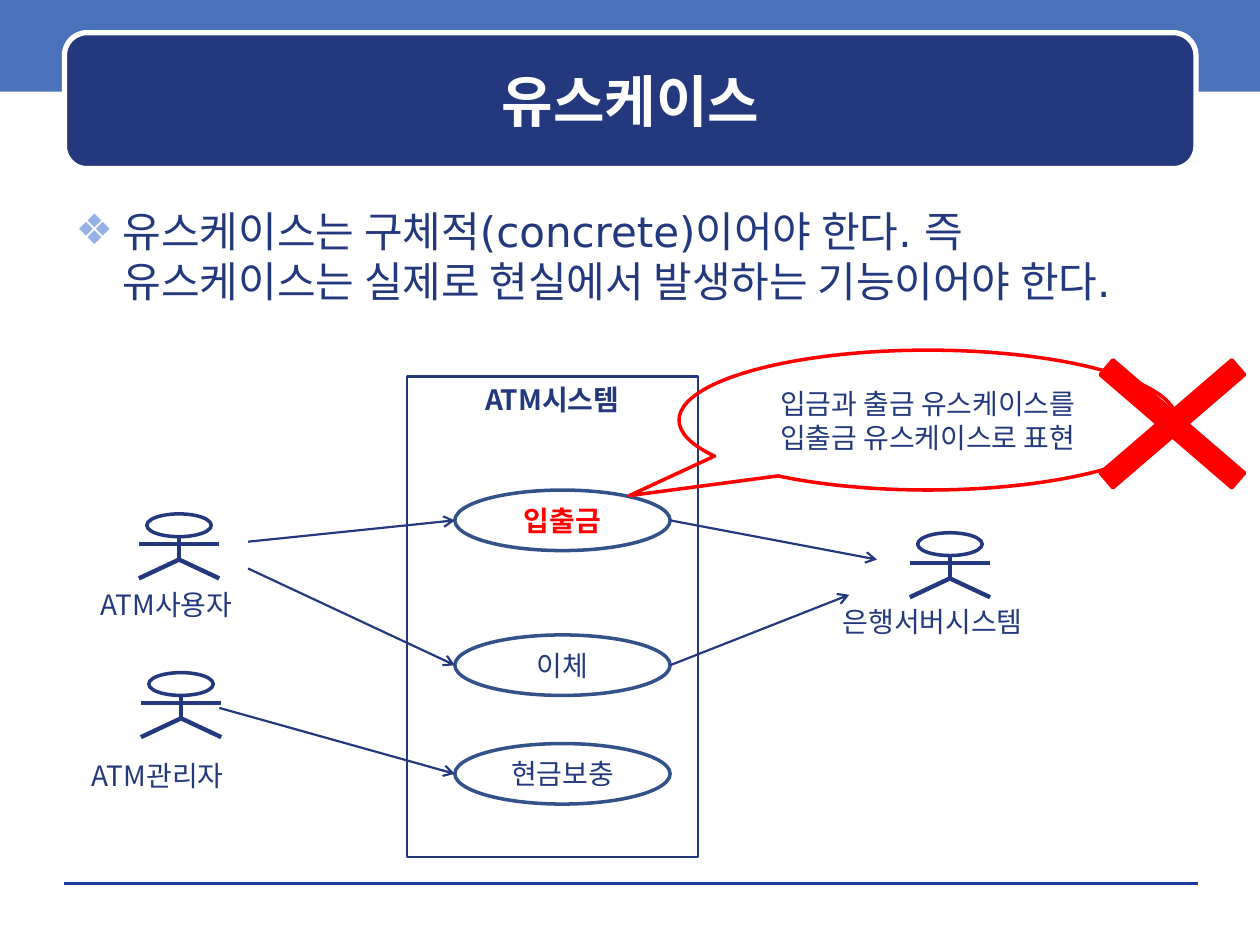
"""Builds the slide on concrete use cases with an ATM use case diagram."""
from dataclasses import dataclass

from lxml import etree
from pptx import Presentation
from pptx.dml.color import RGBColor
from pptx.enum.shapes import MSO_CONNECTOR, MSO_SHAPE
from pptx.enum.text import MSO_ANCHOR, PP_ALIGN
from pptx.oxml.ns import qn
from pptx.util import Cm, Pt

STRAIGHT = MSO_CONNECTOR.STRAIGHT
RECTANGLE, ROUNDED = MSO_SHAPE.RECTANGLE, MSO_SHAPE.ROUNDED_RECTANGLE
OVAL, CALLOUT, CROSS = MSO_SHAPE.OVAL, MSO_SHAPE.OVAL_CALLOUT, MSO_SHAPE.MATH_MULTIPLY
TOP, MIDDLE = MSO_ANCHOR.TOP, MSO_ANCHOR.MIDDLE
LEFT, CENTER = PP_ALIGN.LEFT, PP_ALIGN.CENTER

COLORS = {
    "navy": "23387D", "band": "4972BB", "rule": "1A3D97", "oval": "335289",
    "bullet": "96B1E6", "red": "FF0000", "white": "FFFFFF",
}
HEADING_FONT, DIAGRAM_FONT = "DejaVu Sans", "Noto Sans CJK KR"


@dataclass(frozen=True)
class Box:
    left: float
    top: float
    width: float
    height: float

    def lengths(self) -> tuple:
        return Cm(self.left), Cm(self.top), Cm(self.width), Cm(self.height)


@dataclass(frozen=True)
class Actor:
    name: str
    center: float
    top: float
    label: Box


@dataclass(frozen=True)
class UseCase:
    name: str
    top: float
    color: str = "navy"
    bold: bool = False


@dataclass(frozen=True)
class Link:
    start: tuple[float, float]
    end: tuple[float, float]


OVAL_LEFT, OVAL_WIDTH, OVAL_HEIGHT = 9.17, 4.34, 1.22
OVAL_RIGHT = OVAL_LEFT + OVAL_WIDTH
DEPOSIT_WITHDRAW = UseCase("입출금", 9.88, "red", True)
TRANSFER = UseCase("이체", 12.8)
REFILL = UseCase("현금보충", 14.99)

ACTORS = [
    Actor("ATM사용자", 3.61, 10.36, Box(1.78, 11.71, 3.58, 0.94)),
    Actor("ATM관리자", 3.65, 13.56, Box(1.6, 15.16, 3.18, 1.63)),
    Actor("은행서버시스템", 19.15, 10.74, Box(16.74, 12.07, 5.92, 0.94)),
]


def side(use_case: UseCase, x: float) -> tuple[float, float]:
    return x, use_case.top + OVAL_HEIGHT / 2


LINKS = [
    Link((5, 10.92), side(DEPOSIT_WITHDRAW, OVAL_LEFT)),
    Link((5, 11.46), side(TRANSFER, OVAL_LEFT)),
    Link((4.42, 14.27), side(REFILL, OVAL_LEFT)),
    Link(side(DEPOSIT_WITHDRAW, OVAL_RIGHT), (17.68, 11.28)),
    Link(side(TRANSFER, OVAL_RIGHT), (17.12, 11.99)),
]


def rgb(color: str) -> RGBColor:
    return RGBColor.from_string(COLORS[color])


def add_run(paragraph, text: str, size: float, font: str, color: str = "navy",
            bold: bool = False) -> None:
    run = paragraph.add_run()
    run.text = text
    run.font.size, run.font.name, run.font.bold = Pt(size), font, bold
    run.font.color.rgb = rgb(color)
    etree.SubElement(run.font._element, qn("a:ea"), typeface=DIAGRAM_FONT)


def write(shape, text: str, color: str = "navy", bold: bool = False,
          align=CENTER, anchor=MIDDLE, inset: float = 0) -> None:
    frame = shape.text_frame
    frame.word_wrap, frame.vertical_anchor = True, anchor
    frame.margin_left = frame.margin_right = Cm(inset)
    frame.paragraphs[0].alignment = align
    add_run(frame.paragraphs[0], text, 16, DIAGRAM_FONT, color, bold)


def add_outline(slide, kind, box: Box, line: str | None = None, width: float = 2,
                fill: str | None = None):
    shape = slide.shapes.add_shape(kind, *box.lengths())
    shape.shadow.inherit = False
    if fill:
        shape.fill.solid()
        shape.fill.fore_color.rgb = rgb(fill)
    else:
        shape.fill.background()
    if line:
        shape.line.color.rgb, shape.line.width = rgb(line), Pt(width)
    else:
        shape.line.fill.background()
    return shape


def add_line(slide, link: Link, width: float, color: str = "navy", arrow: bool = False) -> None:
    ends = [Cm(value) for value in (*link.start, *link.end)]
    connector = slide.shapes.add_connector(STRAIGHT, *ends)
    connector.line.color.rgb, connector.line.width = rgb(color), Pt(width)
    if arrow:
        etree.SubElement(connector.line._get_or_add_ln(), qn("a:tailEnd"), type="arrow")
    etree.SubElement(connector.element.spPr, qn("a:effectLst"))


def add_actor(slide, actor: Actor) -> None:
    x, top = actor.center, actor.top
    left, right = x - 0.81, x + 0.81
    neck, arms, hip, feet = top + 0.46, top + 0.61, top + 0.92, top + 1.3
    add_outline(slide, OVAL, Box(x - 0.65, top, 1.3, 0.46), "navy")
    for limb in (Link((x, neck), (x, hip)), Link((left, arms), (right, arms)),
                 Link((x, hip), (left, feet)), Link((x, hip), (right, feet))):
        add_line(slide, limb, 2.5)
    label = slide.shapes.add_textbox(*actor.label.lengths())
    write(label, actor.name, align=LEFT, anchor=TOP, inset=0.25)


def add_use_case(slide, use_case: UseCase) -> None:
    box = Box(OVAL_LEFT, use_case.top, OVAL_WIDTH, OVAL_HEIGHT)
    write(add_outline(slide, OVAL, box, "oval"), use_case.name, use_case.color, use_case.bold)


def place(placeholder, box: Box, anchor):
    placeholder.left, placeholder.top, placeholder.width, placeholder.height = box.lengths()
    placeholder.text_frame.vertical_anchor = anchor
    return placeholder.text_frame.paragraphs[0]


def add_heading(slide) -> None:
    add_outline(slide, RECTANGLE, Box(0, 0, 25.4, 1.85), fill="band")
    add_line(slide, Link((1.3, 17.81), (24.16, 17.81)), 0, "rule")
    add_outline(slide, ROUNDED, Box(1.3, 0.66, 22.81, 2.74), "white", 3, "navy")
    title = slide.shapes.title
    slide.shapes.element.append(title.element)
    heading = place(title, Box(1.52, 0.89, 22.38, 2.24), MIDDLE)
    heading.alignment = CENTER
    add_run(heading, "유스케이스", 32, HEADING_FONT, "white", True)


def add_statement(slide) -> None:
    statement = place(slide.placeholders[1], Box(1.27, 4.01, 22.86, 2.92), TOP)
    properties = statement._p.get_or_add_pPr()
    properties.set("marL", str(Cm(0.95)))
    properties.set("indent", str(Cm(-0.95)))
    bullet_color = etree.SubElement(properties, qn("a:buClr"))
    etree.SubElement(bullet_color, qn("a:srgbClr"), val=COLORS["bullet"])
    etree.SubElement(properties, qn("a:buFont"), typeface=HEADING_FONT)
    etree.SubElement(properties, qn("a:buChar"), char="❖")
    statement.space_before = Pt(0)
    add_run(statement, "유스케이스는 구체적(concrete)이어야 한다. 즉 유스케이스는 "
            "실제로 현실에서 발생하는 기능이어야 한다.", 24, HEADING_FONT)


def main() -> None:
    deck = Presentation()
    deck.slide_width, deck.slide_height = Cm(25.4), Cm(19.05)
    slide = deck.slides.add_slide(deck.slide_layouts[1])
    add_heading(slide)
    add_statement(slide)
    for actor in ACTORS:
        add_actor(slide, actor)
    system = add_outline(slide, RECTANGLE, Box(8.2, 7.59, 5.87, 9.68), "navy", 1.25)
    write(system, "ATM시스템", bold=True, anchor=TOP, inset=0.25)
    for use_case in (DEPOSIT_WITHDRAW, TRANSFER, REFILL):
        add_use_case(slide, use_case)
    for link in LINKS:
        add_line(slide, link, 1.25, arrow=True)
    remark = add_outline(slide, CALLOUT, Box(13.69, 7.06, 10.03, 2.82), "red")
    remark.adjustments[0], remark.adjustments[1] = -0.6, 0.54
    write(remark, "입금과 출금 유스케이스를 입출금 유스케이스로 표현")
    rejection = add_outline(slide, CROSS, Box(21.08, 6.35, 5.11, 4.39), "red", fill="red")
    rejection.adjustments[0] = 0.09
    deck.save("out.pptx")


if __name__ == "__main__":
    main()
